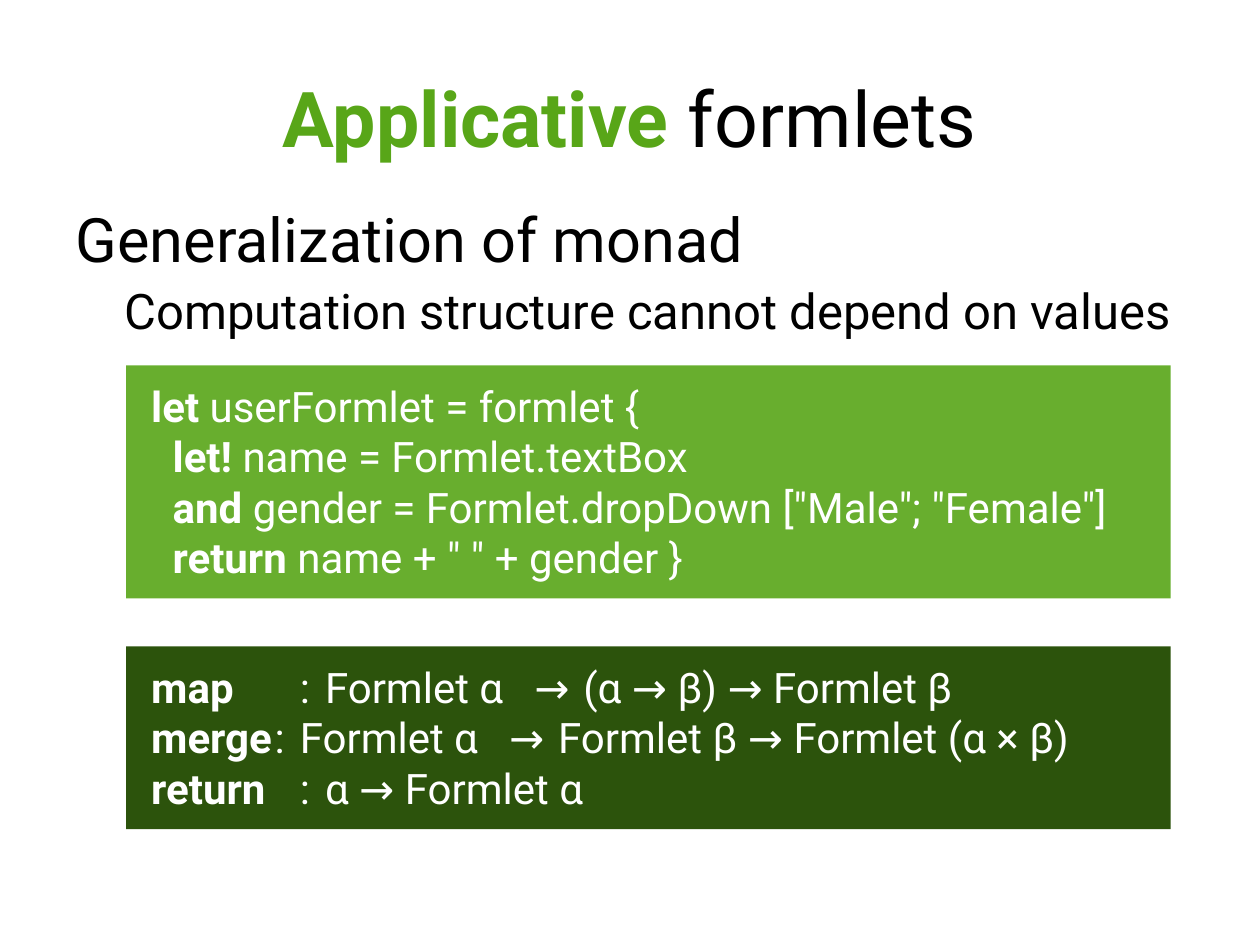
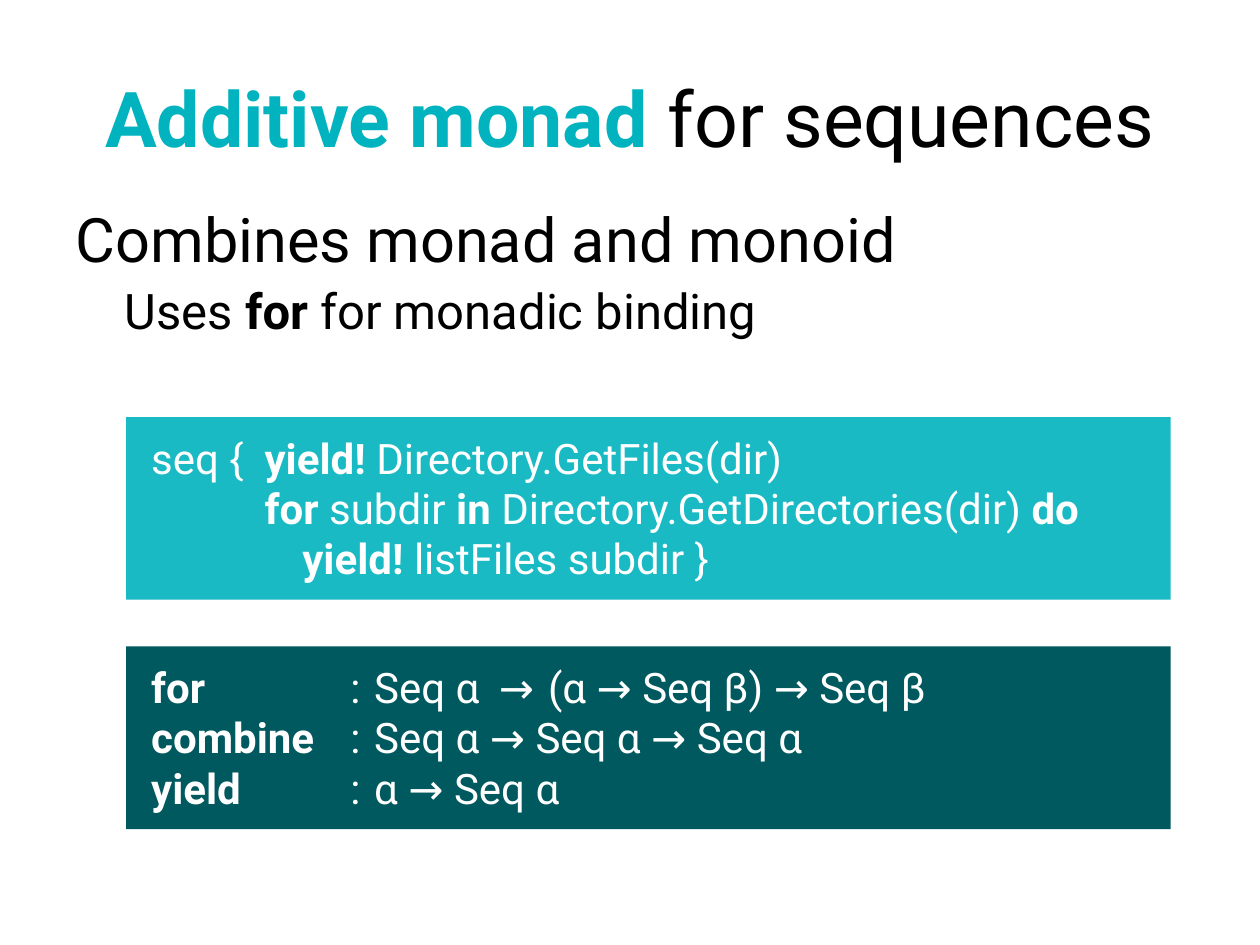
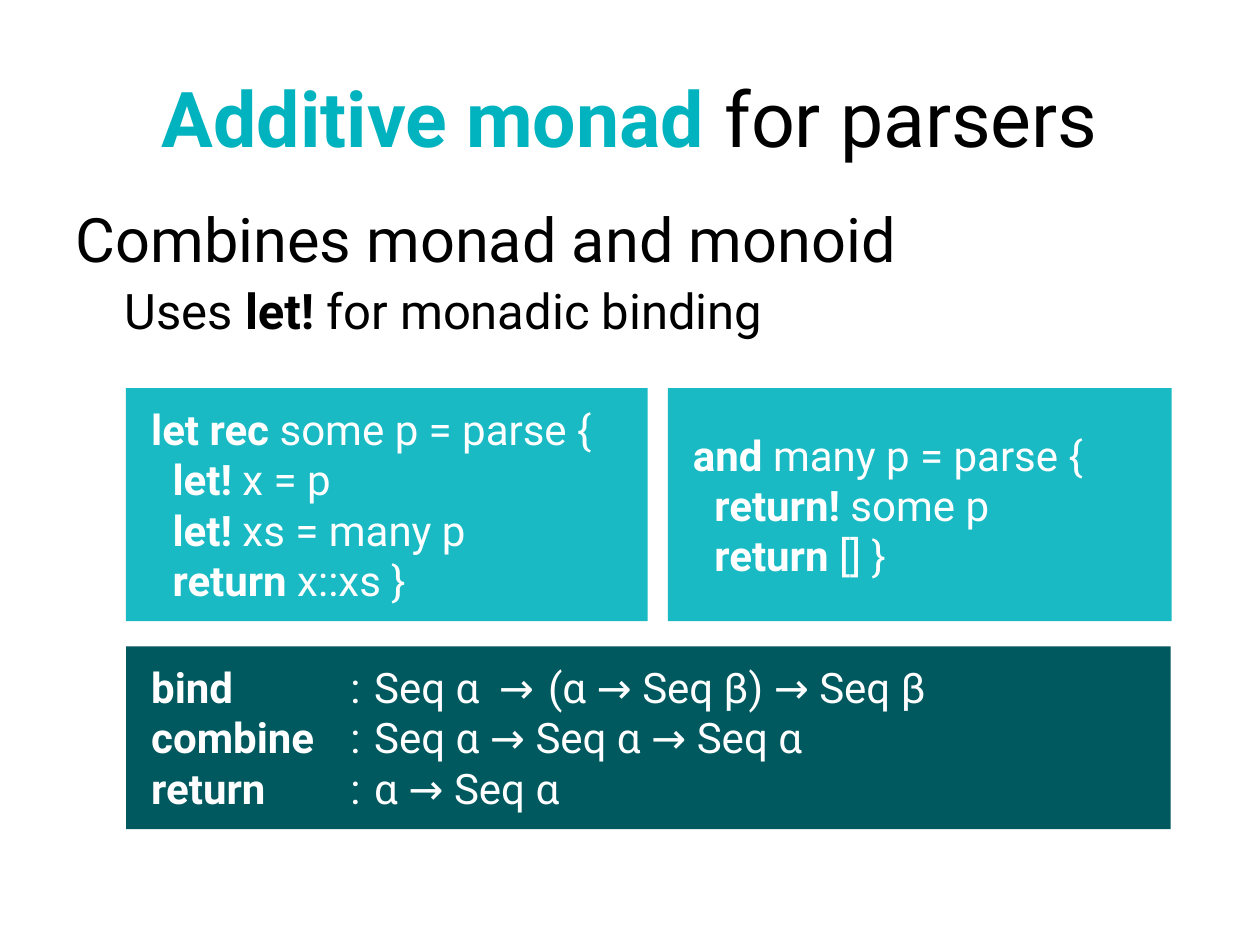
from typing import NamedTuple

from lxml.etree import SubElement
from pptx import Presentation
from pptx.dml.color import RGBColor
from pptx.enum.shapes import MSO_SHAPE
from pptx.enum.text import MSO_ANCHOR, MSO_AUTO_SIZE, PP_ALIGN
from pptx.oxml.ns import qn
from pptx.util import Inches, Pt

# Shared style
FONT = "Roboto"
BLACK = RGBColor(0x00, 0x00, 0x00)
WHITE = RGBColor(0xFF, 0xFF, 0xFF)
GREEN = RGBColor(0x58, 0xA6, 0x18)
DARK_GREEN = RGBColor(0x2C, 0x53, 0x0C)
TEAL = RGBColor(0x00, 0xB3, 0xBE)
DARK_TEAL = RGBColor(0x00, 0x59, 0x5F)

# Shared block geometry, in inches
BLOCK_LEFT, BLOCK_WIDTH = 1, 8.29
SIGNATURE_TOP = 5.13
THREE_LINES, FOUR_LINES = 1.45, 1.85
STEP = 0.17  # indent of a nested code line


class Line(NamedTuple):
    """A code line; *asterisks* enclose its bold words."""
    text: str
    indent: float = 0
    tabs: tuple = ()


def write_runs(paragraph, marked_text, size, color, bold_color=None):
    for position, part in enumerate(marked_text.split("*")):
        if not part:
            continue
        bold = position % 2 == 1
        run = paragraph.add_run()
        run.text = part
        run.font.name = FONT
        run.font.size = Pt(size)
        run.font.bold = bold
        run.font.color.rgb = bold_color if bold and bold_color else color


def set_indent(paragraph, indent):
    properties = paragraph._p.get_or_add_pPr()
    properties.set("marL", str(Inches(indent)))
    properties.set("indent", "0")
    return properties


def set_tabs(paragraph, positions):
    # LibreOffice drops tab stops from a paragraph that also sets an indent
    tab_list = SubElement(paragraph._p.get_or_add_pPr(), qn("a:tabLst"))
    for position in positions:
        SubElement(tab_list, qn("a:tab"), pos=str(Inches(position)), algn="l")


def place(shape, left, top, width, height):
    shape.left, shape.top = Inches(left), Inches(top)
    shape.width, shape.height = Inches(width), Inches(height)


def add_topic_slide(prs, title, accent, point, detail):
    slide = prs.slides.add_slide(prs.slide_layouts[1])

    # Title with its accented words
    heading = slide.shapes.title
    place(heading, 0.5, 0.3, 9, 1.25)
    heading.text_frame.auto_size = MSO_AUTO_SIZE.NONE
    heading.text_frame.vertical_anchor = MSO_ANCHOR.MIDDLE
    heading_line = heading.text_frame.paragraphs[0]
    heading_line.alignment = PP_ALIGN.CENTER
    write_runs(heading_line, title, 44, BLACK, accent)

    # Main point and its detail
    body = slide.placeholders[1]
    place(body, 0.5, 1.55, 9, 5.81)
    frame = body.text_frame
    frame.auto_size = MSO_AUTO_SIZE.NONE
    levels = ((point, 35, 18, 0), (detail, 28, 3, 0.39))
    for level, (text, size, space, indent) in enumerate(levels):
        paragraph = frame.add_paragraph() if level else frame.paragraphs[0]
        paragraph.level = level
        paragraph.space_before = Pt(space)
        SubElement(set_indent(paragraph, indent), qn("a:buNone"))
        write_runs(paragraph, text, size, BLACK)
    return slide


def add_block(slide, box, color, lines, opacity=100, anchor=MSO_ANCHOR.TOP):
    block = slide.shapes.add_shape(MSO_SHAPE.RECTANGLE, *map(Inches, box))
    block.shadow.inherit = False
    block.line.fill.background()
    block.fill.solid()
    block.fill.fore_color.rgb = color
    if opacity < 100:
        rgb = block._element.spPr.find(".//" + qn("a:srgbClr"))
        SubElement(rgb, qn("a:alpha"), val=str(opacity * 1000))

    frame = block.text_frame
    frame.word_wrap = True
    frame.vertical_anchor = anchor
    frame.margin_left = frame.margin_right = Inches(0.2)
    frame.margin_top = frame.margin_bottom = Inches(0.12)
    for number, line in enumerate(lines):
        paragraph = frame.add_paragraph() if number else frame.paragraphs[0]
        paragraph.alignment = PP_ALIGN.LEFT
        if line.indent:
            set_indent(paragraph, line.indent)
        if line.tabs:
            set_tabs(paragraph, line.tabs)
        write_runs(paragraph, line.text, 24, WHITE)


def add_code(slide, top, height, color, lines, left=BLOCK_LEFT,
             width=BLOCK_WIDTH, anchor=MSO_ANCHOR.TOP):
    add_block(slide, (left, top, width, height), color, lines, 90, anchor)


def add_signatures(slide, color, lines):
    box = (BLOCK_LEFT, SIGNATURE_TOP, BLOCK_WIDTH, THREE_LINES)
    add_block(slide, box, color, lines)


def sequence_signatures(bind_name, return_name):
    tabs = (1.58, 1.77, 2.76, 3.15)
    return [
        Line(f"*{bind_name}*\t:\tSeq α\t→\t(α → Seq β) → Seq β", tabs=tabs),
        Line("*combine*\t:\tSeq α → Seq α → Seq α", tabs=tabs),
        Line(f"*{return_name}*\t:\tα → Seq α", tabs=tabs),
    ]


def add_applicative_slide(prs):
    slide = add_topic_slide(prs, "*Applicative *formlets", GREEN,
                            "Generalization of monad",
                            "Computation structure cannot depend on values")
    add_code(slide, 2.9, FOUR_LINES, GREEN, [
        Line("*let *userFormlet = formlet {"),
        Line("*let! *name = Formlet.textBox", STEP),
        Line('*and* gender = Formlet.dropDown ["Male"; "Female"]', STEP),
        Line('*return *name + " " + gender }', STEP),
    ])
    map_tabs = (1.18, 1.38, 3.04, 3.43)
    merge_tabs = (0.98, 1.18, 2.84, 3.23)
    add_signatures(slide, DARK_GREEN, [
        Line("*map*\t:\tFormlet α\t→\t(α → β) → Formlet β", tabs=map_tabs),
        Line("*merge*\t:\tFormlet α\t→\tFormlet β → Formlet (α × β)",
             tabs=merge_tabs),
        Line("*return*\t:\tα → Formlet α", tabs=map_tabs),
    ])


def add_sequences_slide(prs):
    slide = add_topic_slide(prs, "*Additive monad *for sequences", TEAL,
                            "Combines monad and monoid",
                            "Uses *for *for monadic binding")
    add_code(slide, 3.31, THREE_LINES, TEAL, [
        Line("seq {\t*yield! *Directory.GetFiles(dir)", tabs=(0.9,)),
        Line("*for *subdir *in *Directory.GetDirectories(dir) *do*", 0.9),
        Line("*yield! *listFiles subdir }", 1.2),
    ])
    add_signatures(slide, DARK_TEAL, sequence_signatures("for", "yield"))


def add_parsers_slide(prs):
    slide = add_topic_slide(prs, "*Additive monad *for parsers", TEAL,
                            "Combines monad and monoid",
                            "Uses *let! *for monadic binding")
    add_code(slide, 3.08, FOUR_LINES, TEAL, [
        Line("*let rec* some p = parse {"),
        Line("*let!* x = p", STEP),
        Line("*let! *xs = many p", STEP),
        Line("*return* x::xs }", STEP),
    ], width=4.14)
    add_signatures(slide, DARK_TEAL, sequence_signatures("bind", "return"))
    add_code(slide, 3.08, FOUR_LINES, TEAL, [
        Line("*and* many p = parse {"),
        Line("*return!* some p", STEP),
        Line("*return* [] }", STEP),
    ], left=5.3, width=4, anchor=MSO_ANCHOR.MIDDLE)


def main():
    prs = Presentation()
    prs.slide_width, prs.slide_height = Inches(10), Inches(7.5)
    add_applicative_slide(prs)
    add_sequences_slide(prs)
    add_parsers_slide(prs)
    prs.save("out.pptx")


if __name__ == "__main__":
    main()
